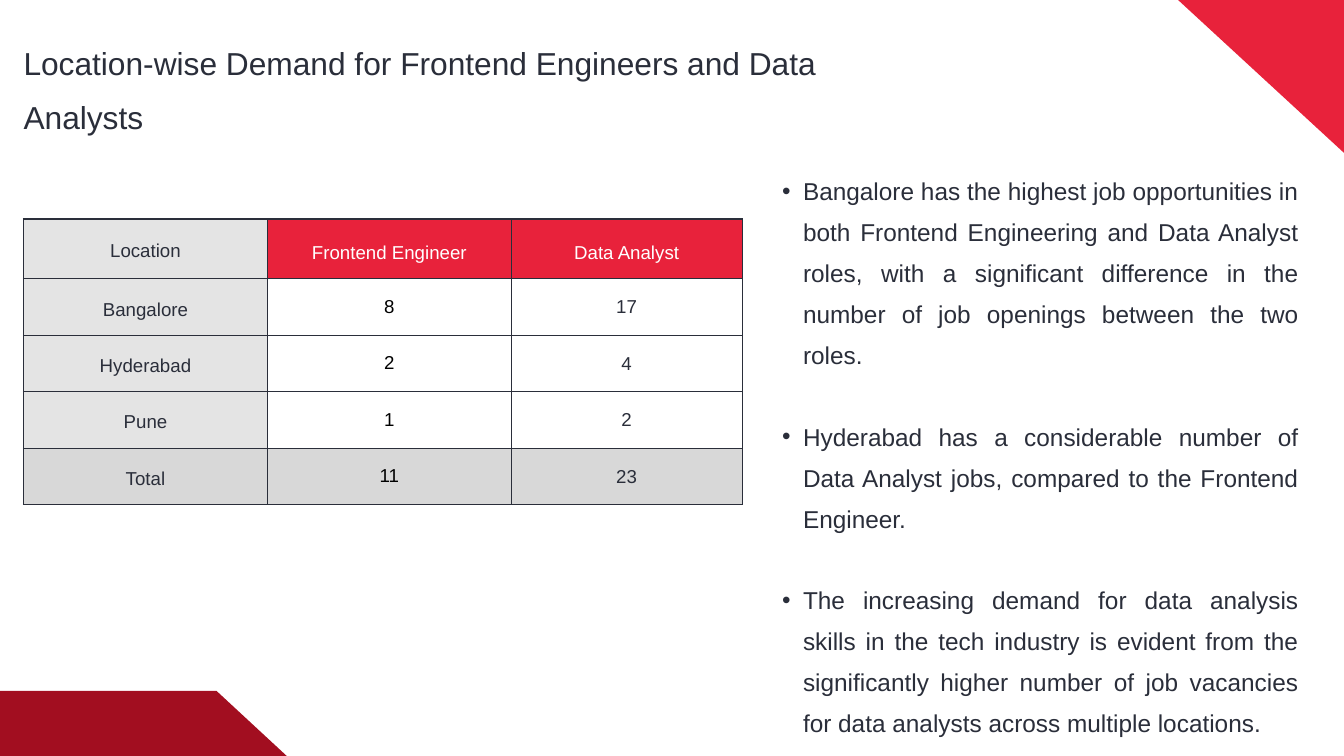
from pptx import Presentation
from pptx.dml.color import RGBColor
from pptx.enum.text import MSO_ANCHOR, PP_ALIGN
from pptx.oxml.ns import qn
from pptx.util import Inches, Pt
from lxml import etree

CENTER, JUSTIFY = PP_ALIGN.CENTER, PP_ALIGN.JUSTIFY
MIDDLE = MSO_ANCHOR.MIDDLE
INK, BLACK, WHITE = "2A2E3A", "000000", "FFFFFF"
RED, DARK, PALE, GRAY = "E8223B", "A20E20", "E4E4E4", "D8D8D8"

TITLE = "Location-wise Demand for Frontend Engineers and Data Analysts"
ROWS = [
    ("Location", "Frontend Engineer", "Data Analyst"),
    ("Bangalore", "8", "17"),
    ("Hyderabad", "2", "4"),
    ("Pune", "1", "2"),
    ("Total", "11", "23"),
]
WIDTHS = [3.63, 3.63, 3.43]
HEIGHTS = [0.88, 0.84, 0.84, 0.83, 0.84]
POINTS = [
    "Bangalore has the highest job opportunities in both Frontend Engineering "
    "and Data Analyst roles, with a significant difference in the number of "
    "job openings between the two roles.",
    "Hyderabad has a considerable number of Data Analyst jobs, compared to "
    "the Frontend Engineer.",
    "The increasing demand for data analysis skills in the tech industry is "
    "evident from the significantly higher number of job vacancies for data "
    "analysts across multiple locations.",
]


def color(code):
    return RGBColor.from_string(code)


def style(para, size, code, space, align=None):
    para.line_spacing = space
    para.alignment = align
    for run in para.runs:
        run.font.name = "Arial"
        run.font.size = Pt(size)
        run.font.color.rgb = color(code)


def corner(slide, points, code):
    """Draw a flat polygon that bleeds off a corner of the slide."""
    pts = [(Inches(x), Inches(y)) for x, y in points]
    build = slide.shapes.build_freeform(*pts[0])
    build.add_line_segments(pts[1:], close=True)
    shape = build.convert_to_shape()
    shape.shadow.inherit = False
    shape.fill.solid()
    shape.fill.fore_color.rgb = color(code)
    shape.line.fill.background()


def text_box(slide, x, y, w, h):
    frame = slide.shapes.add_textbox(
        Inches(x), Inches(y), Inches(w), Inches(h)).text_frame
    frame.word_wrap = True
    frame.margin_left = frame.margin_right = 0
    frame.margin_top = frame.margin_bottom = 0
    return frame


def title(slide, x, y, w, h):
    frame = text_box(slide, x, y, w, h)
    frame.text = TITLE
    style(frame.paragraphs[0], 34, INK, 1.4)


def bullet(para):
    props = para._p.get_or_add_pPr()
    props.set("marL", str(Inches(0.62)))
    props.set("indent", str(Inches(-0.31)))
    tint = etree.SubElement(props, qn("a:buClr"))
    etree.SubElement(tint, qn("a:srgbClr"), val=INK)
    etree.SubElement(props, qn("a:buFont"), typeface="Arial")
    etree.SubElement(props, qn("a:buChar"), char="•")


def findings(slide, x, y, w, h):
    frame = text_box(slide, x, y, w, h)
    frame.text = "\n".join(POINTS)
    for i, para in enumerate(frame.paragraphs):
        style(para, 26.1, INK, 1.4, JUSTIFY)
        if i:
            para.space_before = Pt(43.8)
        bullet(para)


def borders(cell, left, top, bottom):
    props = cell._tc.get_or_add_tcPr()
    sides = [("a:lnL", left), ("a:lnR", 0.75), ("a:lnT", top), ("a:lnB", bottom)]
    for i, (tag, width) in enumerate(sides):
        line = etree.Element(qn(tag), w=str(Pt(width)))
        fill = etree.SubElement(line, qn("a:solidFill"))
        etree.SubElement(fill, qn("a:srgbClr"), val=INK)
        props.insert(i, line)


def look(r, c):
    """Return fill, text colour and line spacing of a cell."""
    if r == 0:
        return (RED, WHITE, 1.4) if c else (PALE, INK, 1.19)
    fill = GRAY if r == len(ROWS) - 1 else (WHITE if c else PALE)
    return (fill, *[(INK, 1.26), (BLACK, 1), (INK, 1.05)][c])


def demand(slide, x, y):
    table = slide.shapes.add_table(
        len(ROWS), len(WIDTHS), Inches(x), Inches(y),
        Inches(sum(WIDTHS)), Inches(sum(HEIGHTS))).table
    for col, width in zip(table.columns, WIDTHS):
        col.width = Inches(width)
    for r, words in enumerate(ROWS):
        table.rows[r].height = Inches(HEIGHTS[r])
        for c, word in enumerate(words):
            fill, ink, space = look(r, c)
            cell = table.cell(r, c)
            cell.text = word
            style(cell.text_frame.paragraphs[0], 20, ink, space, CENTER)
            cell.vertical_anchor = MIDDLE
            pad = Inches(0.01 if r and c == 1 else 0.21)
            cell.margin_left = cell.margin_right = pad
            cell.margin_top = cell.margin_bottom = pad
            cell.fill.solid()
            cell.fill.fore_color.rgb = color(fill)
            borders(cell, 0.75 if c else 1.5, 0.75 if r else 1.5,
                    1.5 if r == len(ROWS) - 1 else 0.75)


def main():
    deck = Presentation()
    deck.slide_width, deck.slide_height = Inches(20), Inches(11.25)
    slide = deck.slides.add_slide(deck.slide_layouts[6])
    # Bottom left corner
    corner(slide, [(-0.64, 10.28), (3.22, 10.28), (4.44, 11.41),
                   (-1.86, 11.41)], DARK)
    # Content
    title(slide, 0.35, 0.43, 12.71, 1.28)
    demand(slide, 0.35, 3.26)
    findings(slide, 11.33, 2.45, 8, 7.22)
    # Top right corner
    corner(slide, [(15.99, -1.42), (24.39, -1.42), (20.19, 2.45)], RED)
    deck.save("out.pptx")


if __name__ == "__main__":
    main()
